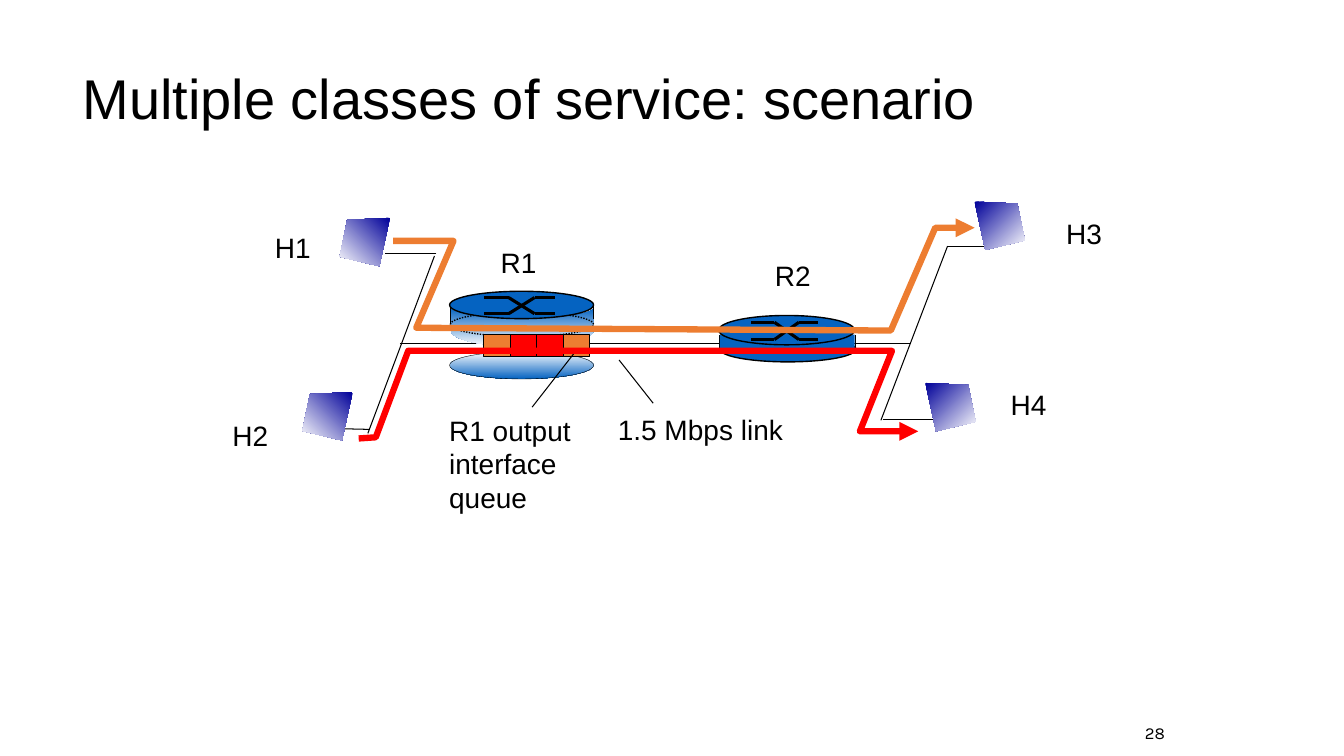
from dataclasses import dataclass
from math import cos, pi, sin

from pptx import Presentation
from pptx.dml.color import RGBColor
from pptx.enum.dml import MSO_LINE
from pptx.enum.shapes import MSO_CONNECTOR, MSO_SHAPE
from pptx.enum.text import MSO_ANCHOR, MSO_AUTO_SIZE, PP_ALIGN
from pptx.oxml.ns import qn
from pptx.util import Cm, Pt
from lxml.etree import SubElement


@dataclass(frozen=True)
class Theme:
    black: str = "000000"
    white: str = "FFFFFF"
    router: str = "0563C1"
    host: str = "000099"
    orange: str = "ED7D31"
    red: str = "FF0000"
    font: str = "Arial"
    number_font: str = "Karla"
    title_size: int = 40
    label_size: int = 20
    number_size: int = 12
    thin: float = 0.75
    outline: float = 1
    cross: float = 2.25
    flow: float = 4.5


class Diagram:
    """Draws network elements on one page; all positions are in centimetres."""

    def __init__(self, page, theme):
        self.page = page
        self.theme = theme

    def text(self, wording, left, top, width, height, size, font=None):
        box = self.page.shapes.add_textbox(Cm(left), Cm(top), Cm(width), Cm(height))
        box.text_frame.text = wording
        box.text_frame.word_wrap = True
        for paragraph in box.text_frame.paragraphs:
            paragraph.font.size = Pt(size)
            for span in paragraph.runs:
                span.font.size = Pt(size)
                span.font.name = font or self.theme.font
                span.font.color.rgb = RGBColor.from_string(self.theme.black)
        return box.text_frame

    def label(self, wording, left, top, width=1.42, height=1.12):
        frame = self.text(wording, left, top, width, height, self.theme.label_size)
        frame.word_wrap = False
        frame.auto_size = MSO_AUTO_SIZE.SHAPE_TO_FIT_TEXT

    def line(self, start, end, weight=None):
        x1, y1, x2, y2 = (Cm(value) for value in (*start, *end))
        connector = self.page.shapes.add_connector(MSO_CONNECTOR.STRAIGHT, x1, y1, x2, y2)
        connector.line.color.rgb = RGBColor.from_string(self.theme.black)
        connector.line.width = Pt(weight or self.theme.thin)
        SubElement(connector.element.spPr, qn("a:effectLst"))

    def paint(self, shape, fill=None, weight=None, line_color=None, angle=270):
        """Fill with a colour, or with a pair of colours as a gradient."""
        shape.shadow.inherit = False
        if fill is None:
            shape.fill.background()
        elif isinstance(fill, tuple):
            shape.fill.gradient()
            shape.fill.gradient_angle = angle
            for stop, color in zip(shape.fill.gradient_stops, fill):
                stop.color.rgb = RGBColor.from_string(color)
        else:
            shape.fill.solid()
            shape.fill.fore_color.rgb = RGBColor.from_string(fill)
        if weight is None:
            shape.line.fill.background()
        else:
            shape.line.color.rgb = RGBColor.from_string(line_color or self.theme.black)
            shape.line.width = Pt(weight)
        return shape

    def shape(self, kind, left, top, width, height, fill=None, weight=None):
        shape = self.page.shapes.add_shape(kind, Cm(left), Cm(top), Cm(width), Cm(height))
        return self.paint(shape, fill, weight)

    def outline(self, points, close):
        first, *rest = [(Cm(x), Cm(y)) for x, y in points]
        builder = self.page.shapes.build_freeform(*first, scale=1.0)
        builder.add_line_segments(rest, close=close)
        return builder.convert_to_shape()

    def flow(self, points, color):
        shape = self.paint(self.outline(points, False), None, self.theme.flow, color)
        SubElement(shape.element.spPr.find(qn("a:ln")), qn("a:tailEnd"), type="triangle")

    def host(self, x, y, side):
        """Host screen from its top corner (x, y), widening to side 1 (right) or -1 (left)."""
        corners = ((0, 0), (1.08, 0.05), (1.27, 0.98), (0.27, 1.22))
        screen = self.outline([(x + side * dx, y + dy) for dx, dy in corners], True)
        self.paint(screen, (self.theme.host, self.theme.white), angle=270 - side * -45)

    def sides(self, *edges):
        for x, top, bottom in edges:
            self.line((x, top), (x, bottom), self.theme.outline)

    def lid(self, left, top, width, height):
        """Router top with two crossing switch paths."""
        self.shape(MSO_SHAPE.OVAL, left, top, width, height, self.theme.router, self.theme.outline)
        a, b, c, d = (left + width * share for share in (0.24, 0.41, 0.59, 0.73))
        high, low = (top + height * share for share in (0.23, 0.82))
        for near, far in ((high, low), (low, high)):
            self.line((a, near), (b, near), self.theme.cross)
            self.line((b, near), (c, far), self.theme.cross)
            self.line((c, far), (d, far), self.theme.cross)

    def open_router(self):
        """Router R1, pulled apart to show its output queue."""
        theme = self.theme
        turns = [pi * step / 24 for step in range(25)]
        upper = [(13.16 - 1.8 * cos(t), 7.75 + 0.28 * sin(t)) for t in turns]
        lower = [(13.16 + 1.8 * cos(t), 8.33 + 0.41 * sin(t)) for t in turns]
        self.paint(self.outline(upper + lower, True), (theme.router, theme.white))
        dotted = self.shape(MSO_SHAPE.OVAL, 11.35, 7.87, 3.61, 0.61, None, theme.outline)
        dotted.line.dash_style = MSO_LINE.ROUND_DOT
        self.sides((11.35, 7.77, 8.15), (14.96, 7.67, 8.03))
        self.lid(11.33, 7.34, 3.63, 0.69)
        self.shape(MSO_SHAPE.OVAL, 11.33, 8.86, 3.63, 0.69, (theme.white, theme.router), 0.25)
        for slot, color in enumerate((theme.orange, theme.red, theme.red, theme.orange)):
            self.shape(MSO_SHAPE.RECTANGLE, 12.19 + 0.67 * slot, 8.43, 0.67, 0.56, color, theme.thin)

    def closed_router(self):
        """Router R2."""
        theme = self.theme
        self.shape(MSO_SHAPE.OVAL, 18.14, 8.48, 3.43, 0.64, theme.router, theme.outline)
        self.sides((18.14, 8.43, 8.81), (21.56, 8.43, 8.81))
        self.shape(MSO_SHAPE.RECTANGLE, 18.14, 8.43, 3.4, 0.38, theme.router)
        self.lid(18.11, 7.95, 3.43, 0.74)


ACCESS_LINES = (
    ((10.95, 6.45), (9.27, 10.92)), ((9.32, 10.82), (8.46, 10.8)), ((11, 6.4), (9.7, 6.4)),
    ((23.88, 6.2), (22.2, 10.59)), ((23.55, 10.57), (22.25, 10.57)), ((24.79, 6.2), (23.88, 6.2)),
)
POINTERS = (((15.6, 9.07), (16.46, 10.16)), ((14.5, 8.86), (13.41, 10.26)))
LABELS = (
    ("R1", 12.37, 6.05), ("R2", 19.28, 6.38), ("H1", 6.68, 5.69),
    ("H2", 5.61, 10.41), ("H3", 26.62, 5.33), ("H4", 25.22, 9.65),
    ("1.5 Mbps link", 15.32, 10.26, 4.88),
    ("R1 output\ninterface\nqueue", 11.07, 10.29, 3.78, 2.82),
)
ORANGE_FLOW = ((9.91, 6.07), (11.43, 6.07), (10.49, 8.26), (22.45, 8.33), (23.57, 5.74), (24.56, 5.74))
RED_FLOW = ((9.04, 11.05), (9.47, 11.02), (10.29, 8.84), (22.48, 8.84), (21.67, 10.87), (23.14, 10.87))
HOSTS = ((8.89, 9.88, -1), (9.83, 5.49, -1), (24.56, 5.08, 1), (23.32, 9.65, 1))


def main():
    deck = Presentation()
    deck.slide_width, deck.slide_height = Cm(33.87), Cm(19.05)
    theme = Theme()
    diagram = Diagram(deck.slides.add_slide(deck.slide_layouts[6]), theme)

    diagram.line((10.08, 8.66), (22.94, 8.66))
    title = diagram.text("Multiple classes of service: scenario", 1.83, 0.97, 26.31, 3.18, theme.title_size)
    title.vertical_anchor = MSO_ANCHOR.MIDDLE
    title.paragraphs[0].line_spacing = 0.9
    diagram.open_router()
    for start, end in ACCESS_LINES:
        diagram.line(start, end)
    diagram.closed_router()
    for label in LABELS:
        diagram.label(*label)
    for start, end in POINTERS:
        diagram.line(start, end)
    diagram.flow(ORANGE_FLOW, theme.orange)
    diagram.flow(RED_FLOW, theme.red)
    for host in HOSTS:
        diagram.host(*host)
    number = diagram.text("28", 27.71, 18.08, 1.9, 0.76, theme.number_size, theme.number_font)
    number.vertical_anchor = MSO_ANCHOR.MIDDLE
    number.paragraphs[0].alignment = PP_ALIGN.RIGHT

    deck.save("out.pptx")


if __name__ == "__main__":
    main()
